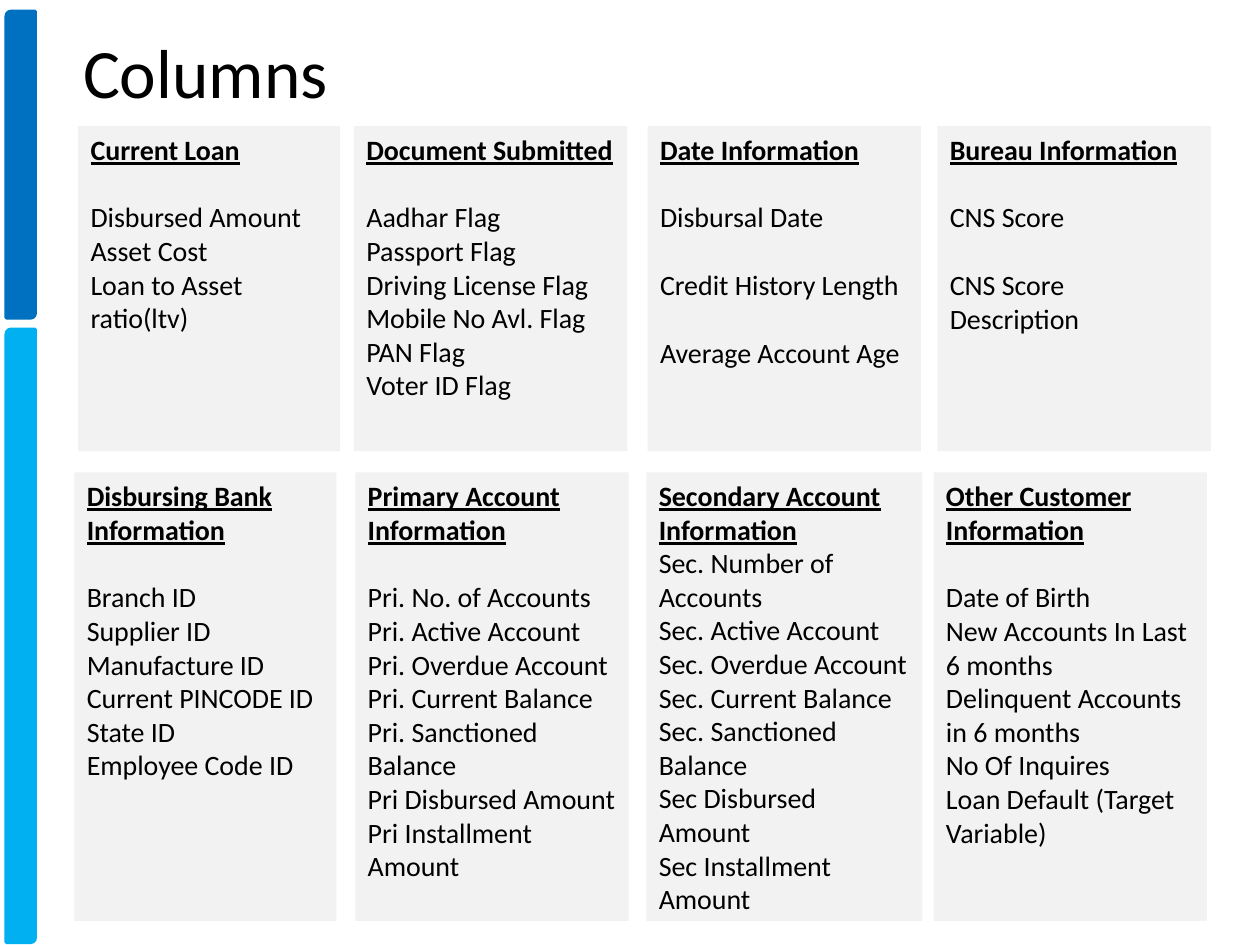
from dataclasses import dataclass
from pptx import Presentation
from pptx.dml.color import RGBColor as RGB
from pptx.enum.shapes import MSO_SHAPE as Kind
from pptx.enum.text import MSO_ANCHOR as Anchor, MSO_AUTO_SIZE as Fit, PP_ALIGN as Align
from pptx.util import Inches, Pt


@dataclass(frozen=True)
class Theme:
    font: str = "Calibri"
    ink: str = "000000"
    card: str = "F2F2F2"
    dark: str = "0070C0"
    light: str = "00B0F0"
    head: float = 39.6
    body: float = 16
    gap: float = 19.5
    edge: float = 2


look = Theme()
WIDE, HIGH = 10, 7.5

ROWS = [
    (1, 2.58, [(0.62, 2.08), (2.81, 2.17), (5.14, 2.17), (7.44, 2.17)], [
        ("Current Loan", 1, 0, Align.LEFT,
         ["Disbursed Amount", "Asset Cost", "Loan to Asset ratio(ltv)"]),
        ("Document Submitted", 1, 0, Align.JUSTIFY,
         ["Aadhar Flag", "Passport Flag", "Driving License Flag",
          "Mobile No Avl. Flag", "PAN Flag", "Voter ID Flag"]),
        ("Date Information", 1, 1, Align.LEFT,
         ["Disbursal Date", "Credit History Length", "Average Account Age"]),
        ("Bureau Information", 1, 1, Align.LEFT,
         ["CNS Score", "CNS Score Description"]),
    ]),
    (3.75, 3.56, [(0.59, 2.08), (2.82, 2.17), (5.13, 2.19), (7.41, 2.17)], [
        ("Disbursing Bank Information", 1, 0, Align.LEFT,
         ["Branch ID\vSupplier ID", "Manufacture ID\vCurrent PINCODE ID",
          "State ID", "Employee Code ID"]),
        ("Primary Account Information", 1, 0, Align.LEFT,
         ["Pri. No. of Accounts", "Pri. Active Account", "Pri. Overdue Account",
          "Pri. Current Balance", "Pri. Sanctioned Balance",
          "Pri Disbursed Amount", "Pri Installment Amount"]),
        ("Secondary Account Information", 0, 0, Align.LEFT,
         ["Sec. Number of Accounts", "Sec. Active Account", "Sec. Overdue Account",
          "Sec. Current Balance", "Sec. Sanctioned Balance",
          "Sec Disbursed Amount", "Sec Installment Amount"]),
        ("Other Customer Information", 1, 0, Align.LEFT,
         ["Date of Birth", "New Accounts In Last 6 months",
          "Delinquent Accounts in 6 months", "No Of Inquires",
          "Loan Default (Target Variable)"]),
    ]),
]


def style(item, form):
    for key, val in form.items():
        setattr(item, key, val)


def ink(font, size, **more):
    style(font, {"name": look.font, "size": Pt(size), **more})
    font.color.rgb = RGB.from_string(look.ink)


def block(slide, kind, box, fill):
    shape = slide.shapes.add_shape(kind, *map(Inches, box))
    shape.shadow.inherit = False
    shape.fill.solid()
    shape.fill.fore_color.rgb = RGB.from_string(fill)
    shape.line.fill.background()
    return shape


def rail(slide, box):
    left, top, wide, high = box
    gap = 0.09
    part = (high - gap) / 3
    for start, size, fill in ((0, part, look.dark), (part + gap, 2 * part, look.light)):
        bar = block(slide, Kind.ROUND_2_DIAG_RECTANGLE, (left, top + start, wide, size), fill)
        bar.line.color.rgb = RGB.from_string(fill)
        bar.line.width = Pt(look.edge)


def title(slide, box, text):
    shape = slide.shapes.title
    style(shape, dict(zip(("left", "top", "width", "height"), map(Inches, box))))
    frame = shape.text_frame
    style(frame, {"text": text, "auto_size": Fit.NONE, "word_wrap": True,
                  "vertical_anchor": Anchor.MIDDLE})
    para = frame.paragraphs[0]
    para.alignment = Align.CENTER
    ink(para.runs[0].font, look.head)


def card(slide, box, data):
    head, lead, space, align, items = data
    frame = block(slide, Kind.RECTANGLE, box, look.card).text_frame
    style(frame, {"word_wrap": True, "vertical_anchor": Anchor.TOP})
    for num, text in enumerate([head] + items):
        para = frame.add_paragraph() if num else frame.paragraphs[0]
        rows = 0 if num == 0 else lead if num == 1 else space
        style(para, {"text": text, "alignment": align,
                     "space_before": Pt(rows * look.gap)})
        for run in para.runs:
            ink(run.font, look.body, bold=num == 0, underline=num == 0)


def grid(slide, rows):
    for top, high, cols, cards in rows:
        for (left, wide), data in zip(cols, cards):
            card(slide, (left, top, wide, high), data)


def main():
    deck = Presentation()
    style(deck, {"slide_width": Inches(WIDE), "slide_height": Inches(HIGH)})
    slide = deck.slides.add_slide(deck.slide_layouts[5])
    rail(slide, (0.05, 0.09, 0.23, 7.39))
    grid(slide, ROWS)
    title(slide, (0.44, 0.3, 2.38, 0.53), "Columns")
    deck.save("out.pptx")


main()
